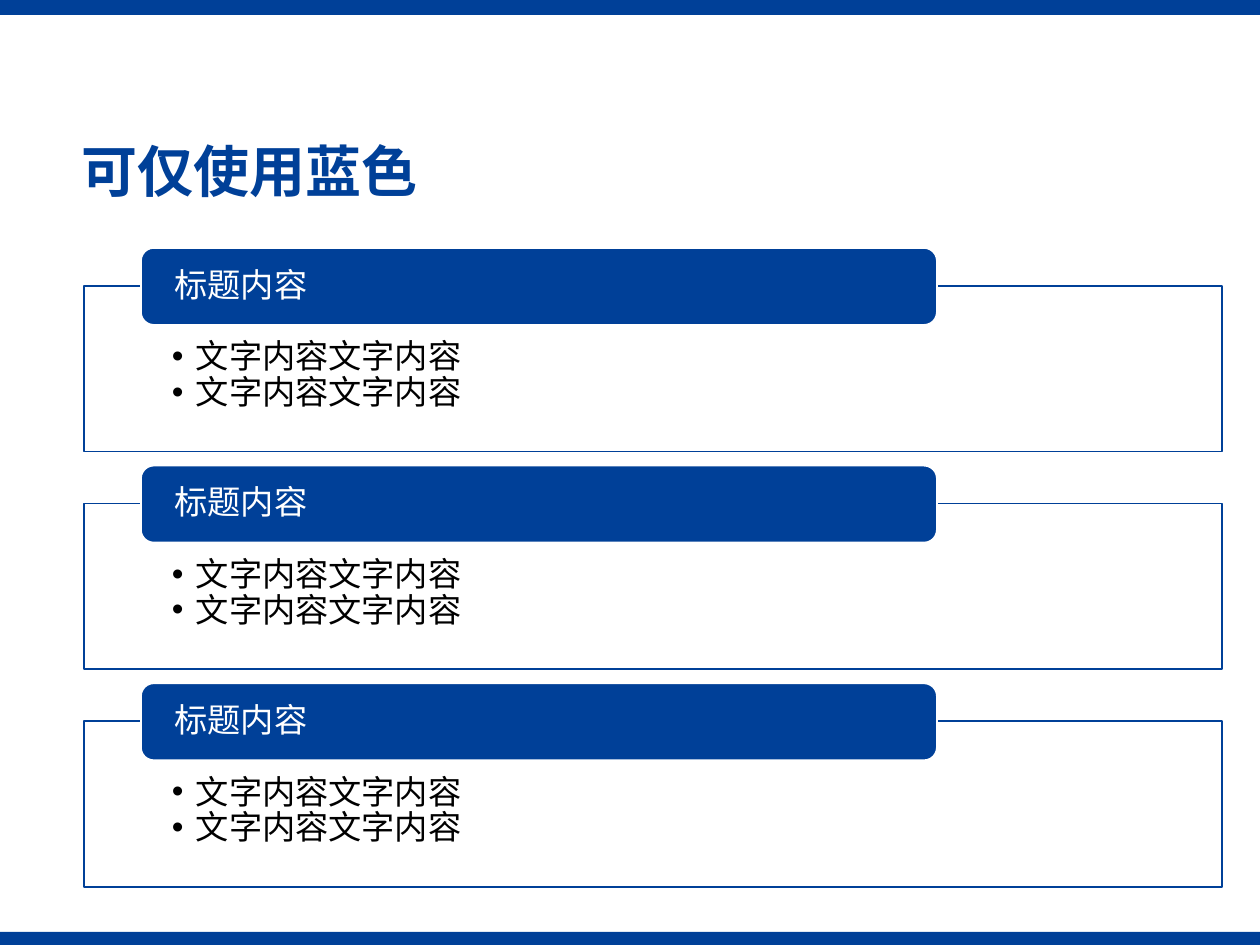
from lxml.etree import SubElement
from pptx import Presentation
from pptx.dml.color import RGBColor
from pptx.enum.shapes import MSO_SHAPE as SHAPE
from pptx.enum.text import MSO_ANCHOR as ANCHOR, PP_ALIGN as ALIGN
from pptx.oxml.ns import qn
from pptx.util import Pt

PX = 914400 / 126
BLUE = RGBColor(0x00, 0x40, 0x98)
WHITE = RGBColor(0xFF, 0xFF, 0xFF)
BLACK = RGBColor(0x00, 0x00, 0x00)
FONT = "Noto Sans CJK SC"

W, H = 1260, 945
PANELS = [("标题内容", ["文字内容文字内容"] * 2)] * 3


def px(n):
    return round(n * PX)


def add_box(slide, kind, box, fill, line=None):
    sp = slide.shapes.add_shape(kind, *map(px, box))
    sp.shadow.inherit = False
    sp.fill.solid()
    sp.fill.fore_color.rgb = fill
    if line is None:
        sp.line.fill.background()
    else:
        sp.line.color.rgb = line
        sp.line.width = Pt(1)
    return sp


def set_frame(tf, anchor, margins):
    sides = ("margin_left", "margin_top", "margin_right", "margin_bottom")
    values = dict(zip(sides, map(px, margins)), word_wrap=True, vertical_anchor=anchor)
    for name, value in values.items():
        setattr(tf, name, value)


def write(p, text, size, color, bold=False, after=0):
    layout = {"alignment": ALIGN.LEFT, "line_spacing": 0.9,
              "space_before": Pt(0), "space_after": Pt(after)}
    for name, value in layout.items():
        setattr(p, name, value)
    r = p.add_run()
    r.text = text
    for name, value in {"size": Pt(size), "bold": bold, "name": FONT}.items():
        setattr(r.font, name, value)
    r.font.color.rgb = color
    SubElement(r.font._element, qn("a:ea"), typeface=FONT)


def add_bullet(p, hang):
    pPr = p._p.get_or_add_pPr()
    pPr.set("marL", str(px(hang)))
    pPr.set("indent", str(-px(hang)))
    SubElement(pPr, qn("a:buFont"), typeface="Arial")
    SubElement(pPr, qn("a:buChar"), char="•")


def add_bands(slide):
    for top, height in ((H - 13, 13), (0, 15)):
        add_box(slide, SHAPE.RECTANGLE, (0, top, W, height), BLUE)


def add_title(slide, box, text):
    tf = slide.shapes.add_textbox(*map(px, box)).text_frame
    set_frame(tf, ANCHOR.MIDDLE, (13, 6, 13, 6))
    write(tf.paragraphs[0], text, 32, BLUE, bold=True)


def add_panel(slide, box, heading, items):
    x, y, w, h = box
    body = add_box(slide, SHAPE.RECTANGLE, (x, y + 38, w, h - 38), WHITE, BLUE)
    color = body.fill._xPr.find(qn("a:solidFill"))[0]
    SubElement(color, qn("a:alpha"), val="90000")
    tf = body.text_frame
    set_frame(tf, ANCHOR.TOP, (88, 54, 88, 19))
    for i, item in enumerate(items):
        p = tf.add_paragraph() if i else tf.paragraphs[0]
        write(p, item, 19, BLACK)
        add_bullet(p, 24)

    tab = add_box(slide, SHAPE.ROUNDED_RECTANGLE, (x + 57, y, 796, 77), BLUE, WHITE)
    set_frame(tab.text_frame, ANCHOR.MIDDLE, (30, 0, 30, 0))
    write(tab.text_frame.paragraphs[0], heading, 19, WHITE)


def add_panels(slide, box, panels, gap):
    x, y, w, h = box
    height = (h - gap * (len(panels) - 1)) / len(panels)
    for i, (heading, items) in enumerate(panels):
        add_panel(slide, (x, y + i * (height + gap), w, height), heading, items)


def main():
    prs = Presentation()
    prs.slide_width, prs.slide_height = px(W), px(H)
    slide = prs.slides.add_slide(prs.slide_layouts[6])
    add_bands(slide)
    add_title(slide, (68, 135, 1154, 79), "可仅使用蓝色")
    add_panels(slide, (84, 248, 1138, 639), PANELS, 14)
    prs.save("out.pptx")


if __name__ == "__main__":
    main()
